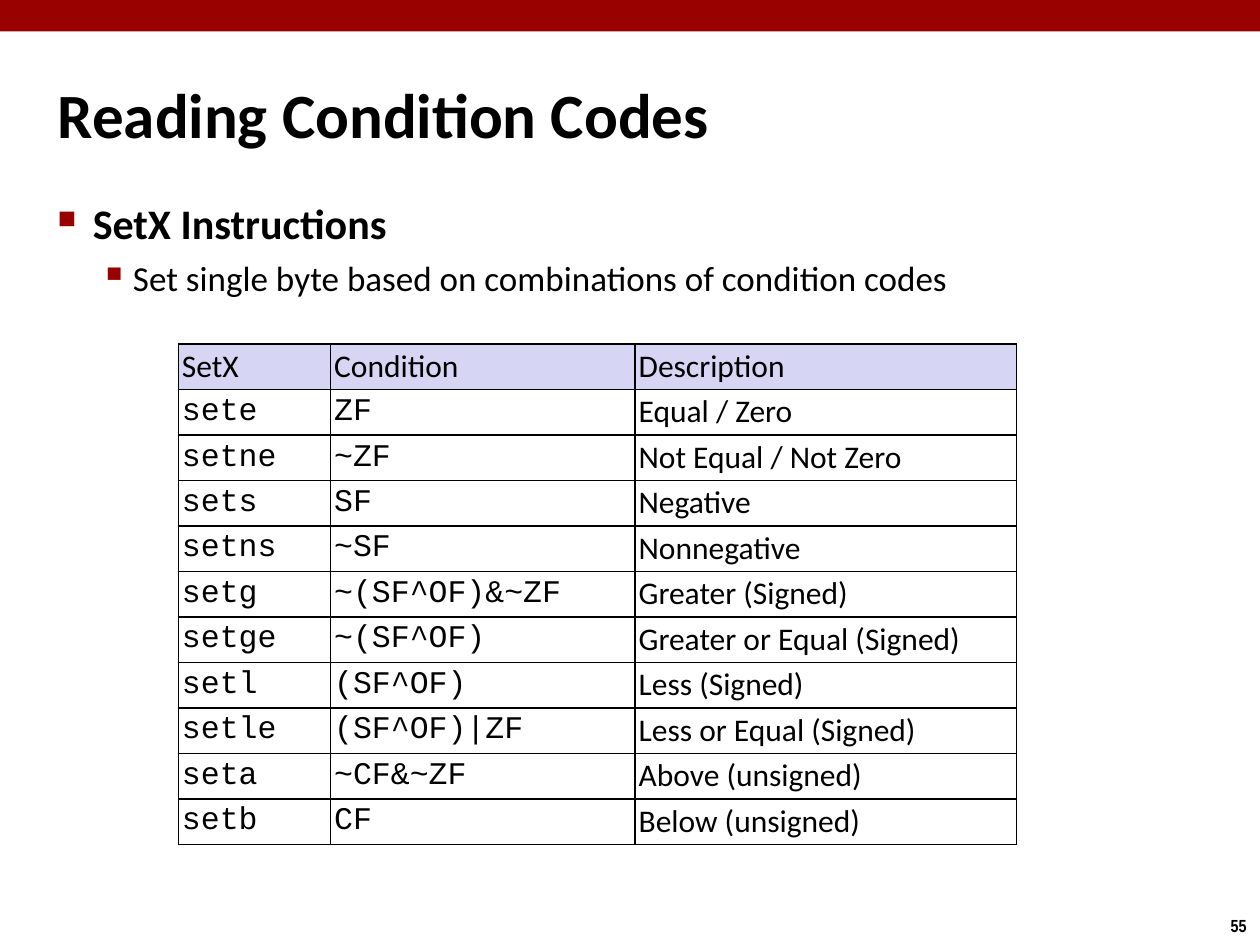
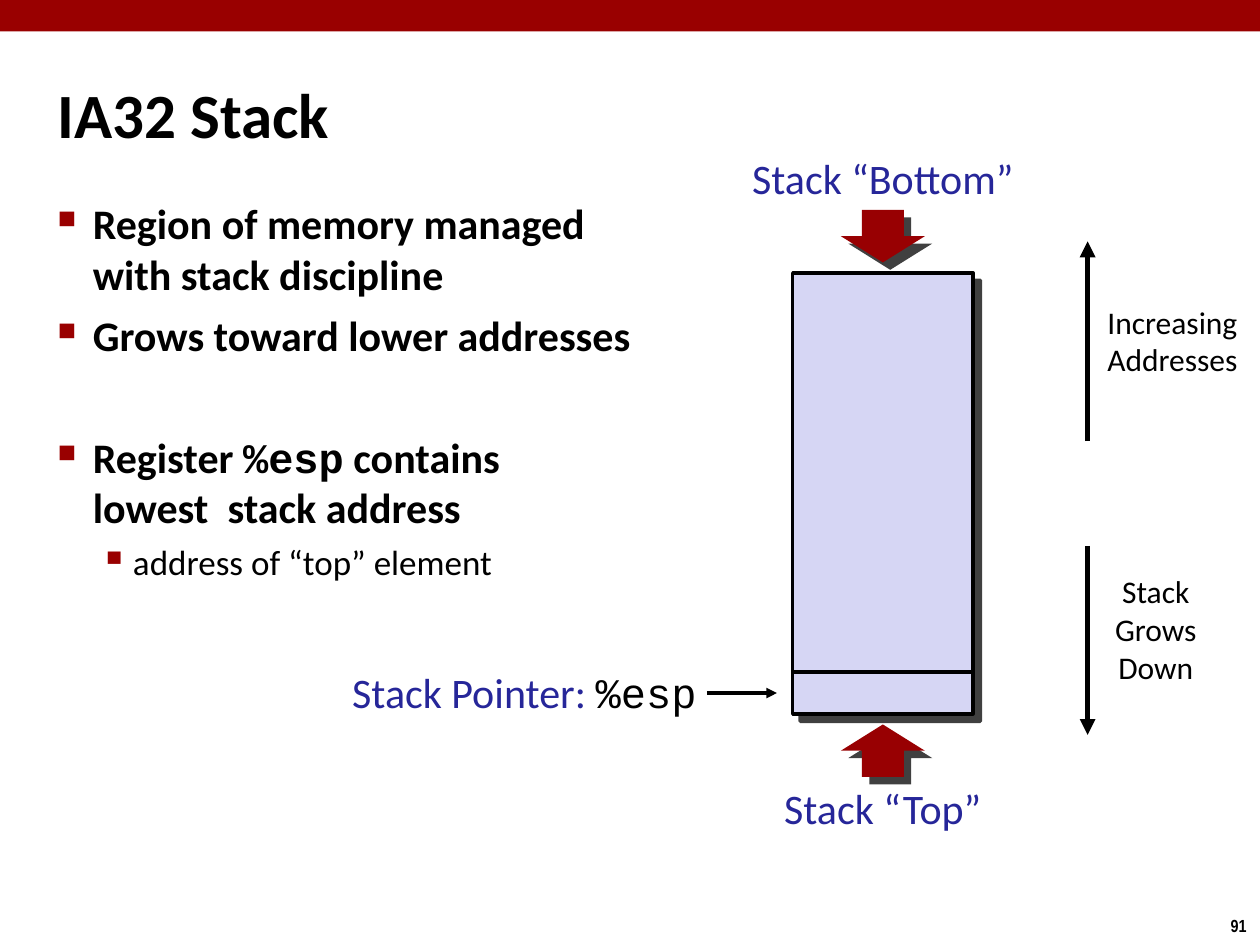
import pptx
import pptx.dml.color
import pptx.enum.shapes
import pptx.enum.text
import pptx.oxml.ns
import pptx.oxml.xmlchemy
import pptx.util
from lxml import etree

HUES = {"red": "990000", "arrow": "980002", "lilac": "D6D6F4",
        "blue": "262699", "black": "000000"}
SANS, MONO, THIN = "Calibri", "Courier New", "Arial Narrow"
KIND = pptx.enum.shapes.MSO_SHAPE
LEFT = pptx.enum.text.PP_ALIGN.LEFT
MID = pptx.enum.text.PP_ALIGN.CENTER
RIGHT = pptx.enum.text.PP_ALIGN.RIGHT

# Bullet levels: left indent, hang, space before, mark, mark size, text size, bold
LEVELS = [(20, 20, 6, "■", 60, 24, True),
          (43, 19, 5, "▪", 110, 20, False)]

CODES = [
    ("SetX", "Condition", "Description"),
    ("sete", "ZF", "Equal / Zero"),
    ("setne", "~ZF", "Not Equal / Not Zero"),
    ("sets", "SF", "Negative"),
    ("setns", "~SF", "Nonnegative"),
    ("setg", "~(SF^OF)&~ZF", "Greater (Signed)"),
    ("setge", "~(SF^OF)", "Greater or Equal (Signed)"),
    ("setl", "(SF^OF)", "Less (Signed)"),
    ("setle", "(SF^OF)|ZF", "Less or Equal (Signed)"),
    ("seta", "~CF&~ZF", "Above (unsigned)"),
    ("setb", "CF", "Below (unsigned)"),
]


# Basic helpers
def pts(*nums):
    return [pptx.util.Pt(n) for n in nums]


def hue(name):
    return pptx.dml.color.RGBColor.from_string(HUES[name])


def node(owner, tag, **attrs):
    item = etree.SubElement(owner, pptx.oxml.ns.qn("a:" + tag))
    for key, val in attrs.items():
        item.set(key, str(val))
    return item


def paint(owner, name):
    node(node(owner, "solidFill"), "srgbClr", val=HUES[name])


def add_run(par, text, size, font=SANS, color="black", bold=False):
    run = par.add_run()
    run.text = text
    run.font.size = pptx.util.Pt(size)
    run.font.name = font
    run.font.bold = bold
    run.font.color.rgb = hue(color)


def indent(par, left, hang):
    props = par._p.get_or_add_pPr()
    props.set("marL", str(pptx.util.Pt(left)))
    props.set("indent", str(-pptx.util.Pt(hang)))
    return props


def inset(frame, gap):
    frame.margin_left, frame.margin_top, frame.margin_right, frame.margin_bottom = pts(*[gap] * 4)


def text_box(slide, box, wrap=False):
    frame = slide.shapes.add_textbox(*pts(*box)).text_frame
    inset(frame, 3)
    frame.word_wrap = wrap
    return frame


def label(slide, box, lines, size, color="black", wrap=False):
    frame = text_box(slide, box, wrap)
    for i, line in enumerate(lines):
        par = frame.add_paragraph() if i else frame.paragraphs[0]
        par.alignment = MID
        add_run(par, line, size, color=color)


def block(slide, kind, box, fill, line=0, shade=False):
    shape = slide.shapes.add_shape(kind, *pts(*box))
    shape.shadow.inherit = False
    shape.fill.solid()
    shape.fill.fore_color.rgb = hue(fill)
    if line:
        shape.line.color.rgb = hue("black")
        shape.line.width = pptx.util.Pt(line)
    else:
        shape.line.fill.background()
    if shade:
        effects = shape._element.spPr.find(pptx.oxml.ns.qn("a:effectLst"))
        cast = node(effects, "outerShdw", blurRad=0, dist=pptx.util.Pt(6),
                    dir=45 * 60000, algn="ctr", rotWithShape=0)
        node(node(cast, "srgbClr", val=HUES["black"]), "alpha", val=75000)


def rule(slide, ends, width, head=False):
    line = slide.shapes.add_connector(pptx.enum.shapes.MSO_CONNECTOR.STRAIGHT, *pts(*ends))
    line.line.color.rgb = hue("black")
    line.line.width = pptx.util.Pt(width)
    props = line._element.spPr
    if head:
        node(props.find(pptx.oxml.ns.qn("a:ln")), "tailEnd", type="triangle")
    node(props, "effectLst")


# Shared frame: band, title, page number
def new_slide(deck, title, page):
    slide = deck.slides.add_slide(deck.slide_layouts[5])
    block(slide, KIND.RECTANGLE, (0, 0, 720, 18), "red")
    head = slide.shapes.title
    head.left, head.top, head.width, head.height = pts(30, 20, 660, 90)
    frame = head.text_frame
    inset(frame, 3)
    frame.auto_size = pptx.enum.text.MSO_AUTO_SIZE.NONE
    frame.vertical_anchor = pptx.enum.text.MSO_ANCHOR.MIDDLE
    par = frame.paragraphs[0]
    par.alignment = LEFT
    indent(par, 9, 9)
    add_run(par, title, 36, bold=True)

    frame = text_box(slide, (695.5, 520, 24.5, 19))
    par = frame.paragraphs[0]
    par.alignment = MID
    add_run(par, page, 10, THIN, bold=True)
    return slide


# Bulleted text: items are (level, extra space before, runs); "\n" breaks the line
def bullets(slide, box, items):
    frame = text_box(slide, box, True)
    for i, (level, extra, runs) in enumerate(items):
        left, hang, space, mark, scale, size, bold = LEVELS[level]
        par = frame.add_paragraph() if i else frame.paragraphs[0]
        par.level = level
        par.space_before = pptx.util.Pt(space + extra)
        props = indent(par, left, hang)
        node(node(props, "buClr"), "srgbClr", val=HUES["red"])
        node(props, "buSzPct", val=scale * 1000)
        node(props, "buChar", char=mark)
        for text, font in runs:
            if text == "\n":
                par.add_line_break()
            else:
                add_run(par, text, size, font, bold=bold)


# Table of condition codes
def code_table(slide, box, widths):
    table = slide.shapes.add_table(len(CODES), len(widths), *pts(*box)).table
    table.horz_banding = False
    for col, width in zip(table.columns, widths):
        col.width = pptx.util.Pt(width)
    for r, row in enumerate(CODES):
        table.rows[r].height = pptx.util.Pt(box[3] / len(CODES))
        for c, text in enumerate(row):
            cell = table.cell(r, c)
            inset(cell, 2)
            cell.vertical_anchor = pptx.enum.text.MSO_ANCHOR.MIDDLE
            props = cell._tc.get_or_add_tcPr()
            for side in ("lnL", "lnR", "lnT", "lnB"):
                paint(node(props, side, w=pptx.util.Pt(1)), "black")
            if r == 0:
                cell.fill.solid()
                cell.fill.fore_color.rgb = hue("lilac")
            else:
                cell.fill.background()
            font = MONO if r and c < 2 else SANS
            add_run(cell.text_frame.paragraphs[0], text, 18, font)


# Memory block with its two ends and the stack pointer
def stack(slide, box):
    x, y, w, h = box
    mid, base, gap = x + w / 2, y + h, 6
    wide, tall = 48, 30
    block(slide, KIND.RECTANGLE, box, "lilac", 2, True)
    rule(slide, (x, base - 24, x + w, base - 24), 2)

    ends = [(KIND.DOWN_ARROW, y - gap - tall, y - gap - tall - 36, "Stack “Bottom”"),
            (KIND.UP_ARROW, base + gap, base + gap + tall, "Stack “Top”")]
    for kind, top, text_top, text in ends:
        block(slide, kind, (mid - wide / 2, top, wide, tall), "arrow", shade=True)
        label(slide, (mid - 80, text_top, 160, 35), [text], 24, "blue")

    level = base - 12
    rule(slide, (x - 49, level, x - 9, level), 2, True)
    par = text_box(slide, (x - 259, level - 18, 207, 36)).paragraphs[0]
    par.alignment = RIGHT
    add_run(par, "Stack Pointer: ", 24, color="blue")
    add_run(par, "%esp", 24, MONO)


# Arrows for address order and growth
def trends(slide, box):
    x, y, w, h = box
    rule(slide, (x, y + 114, x, y), 3, True)
    rule(slide, (x, y + h - 108, x, y + h), 3, True)
    label(slide, (x + 8, y + 32, w - 8, 50), ["Increasing", "Addresses"], 18)
    label(slide, (x + 7, y + 186, 64, 72), ["Stack Grows", "Down"], 18, wrap=True)


def codes_slide(deck):
    slide = new_slide(deck, "Reading Condition Codes", "55")
    bullets(slide, (30, 110, 660, 80), [
        (0, 0, [("SetX Instructions", SANS)]),
        (1, 0, [("Set single byte based on combinations of condition codes", SANS)]),
    ])
    code_table(slide, (102, 196.5, 479, 286), (87, 174, 218))


def stack_slide(deck):
    slide = new_slide(deck, "IA32 Stack", "91")
    bullets(slide, (30, 110, 351, 428), [
        (0, 0, [("Region of memory managed with stack discipline", SANS)]),
        (0, 0, [("Grows toward lower addresses", SANS)]),
        (0, 35, [("Register ", SANS), ("%esp", MONO), (" contains ", SANS),
                 ("\n", SANS), ("lowest  stack address", SANS)]),
        (1, 0, [("address of “top” element", SANS)]),
    ])
    stack(slide, (453, 156, 103, 252))
    trends(slide, (621.5, 138, 89, 282))


def main():
    deck = pptx.Presentation()
    deck.slide_width, deck.slide_height = pts(720, 540)
    codes_slide(deck)
    stack_slide(deck)
    deck.save("out.pptx")


if __name__ == "__main__":
    main()
